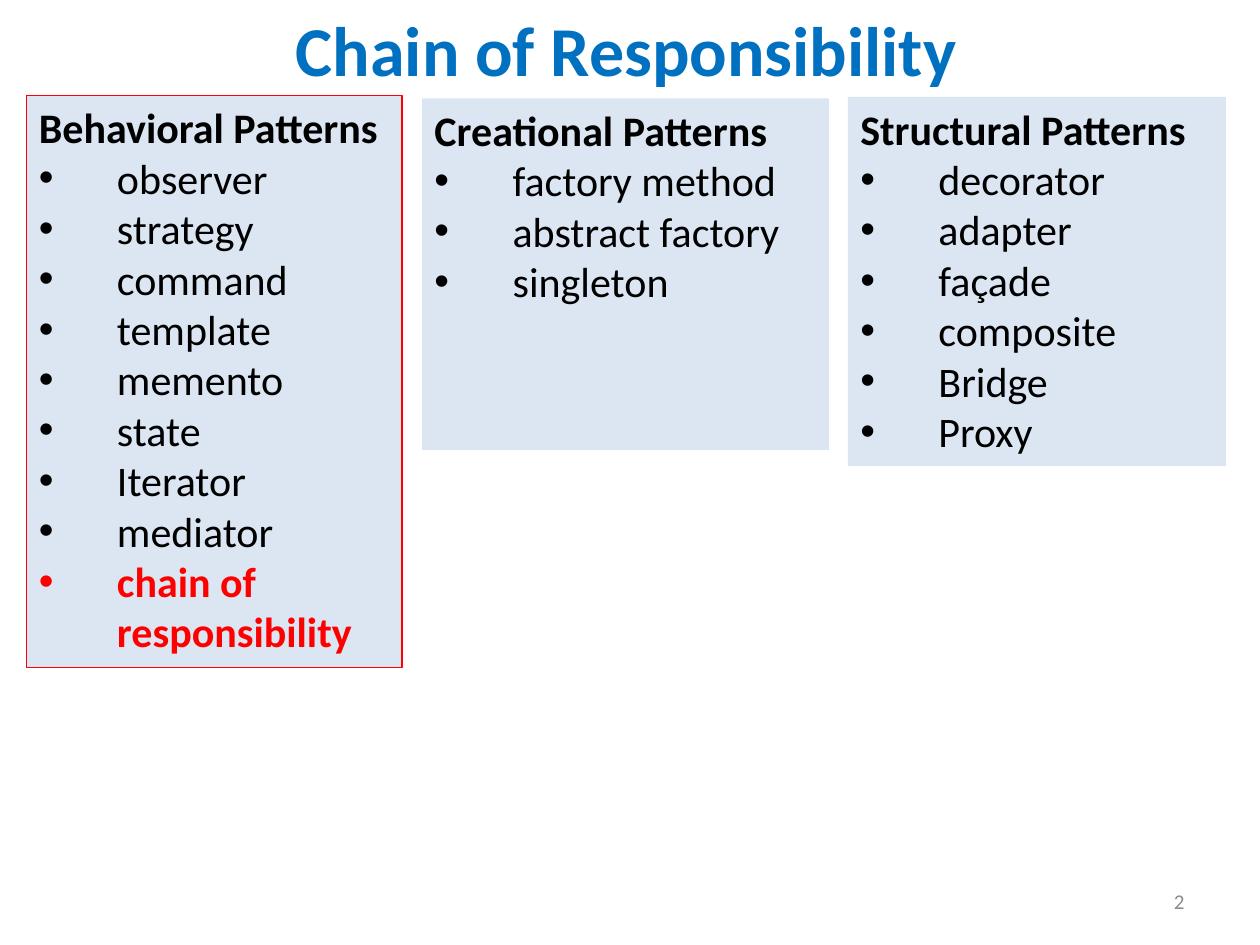
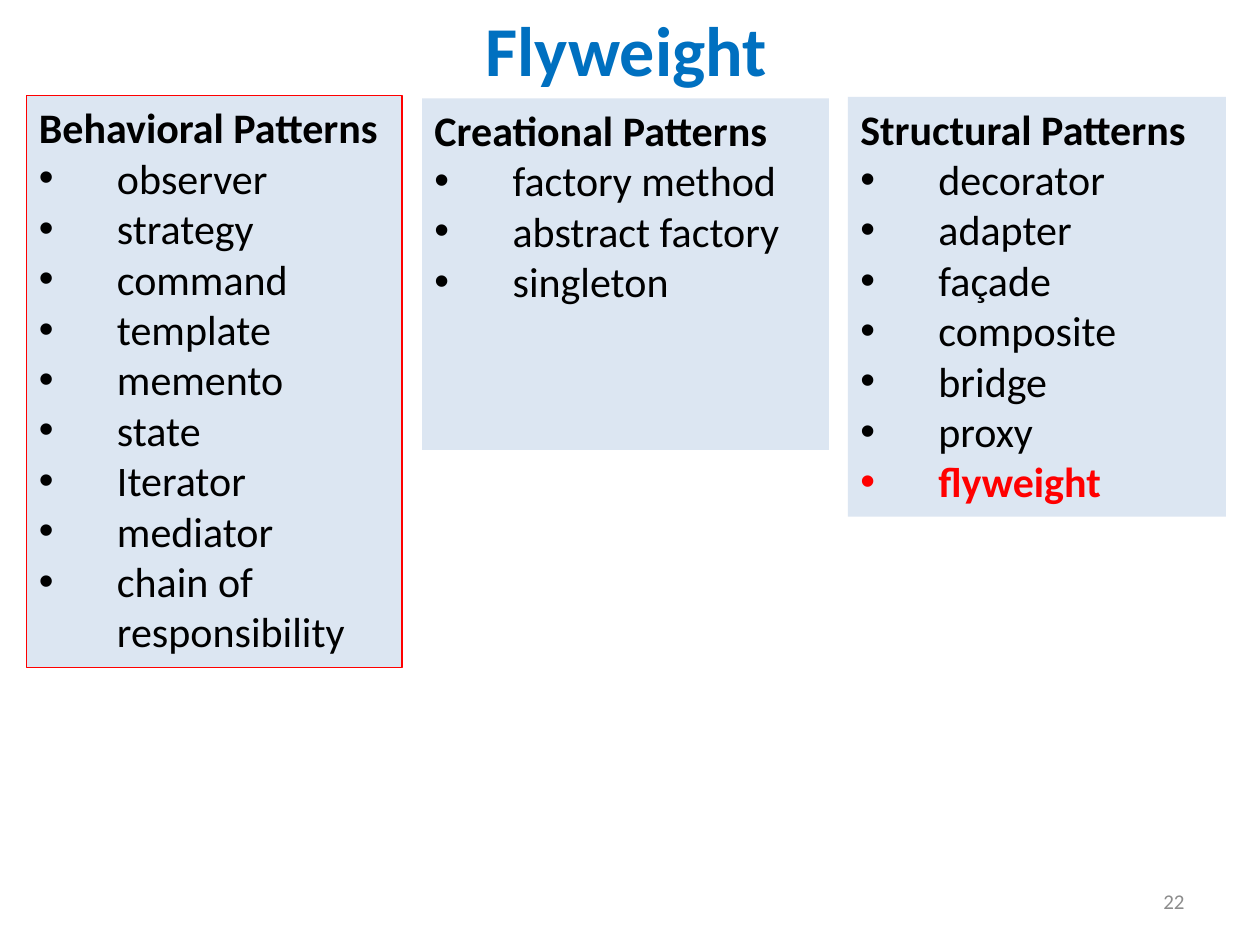
from lxml import etree
from pptx import Presentation
from pptx import util as u
from pptx.dml.color import RGBColor
from pptx.enum import shapes, text
from pptx.oxml.ns import qn

FONT = "Calibri"
TITLE_BLUE, PANEL_BLUE = "0070C0", "DCE6F2"
BLACK, RED, GREY = "000000", "FF0000", "8C8C8C"
INDENT = 0.62

BEHAVIORAL = ["observer", "strategy", "command", "template", "memento",
              "state", "Iterator", "mediator", "chain of responsibility"]
CREATIONAL = ["factory method", "abstract factory", "singleton"]
STRUCTURAL = ["decorator", "adapter", "façade", "composite"]

LESSONS = [
    {"title": "Chain of Responsibility", "title_height": 1.45, "number": 2,
     "structural": STRUCTURAL + ["Bridge", "Proxy"],
     "current": "chain of responsibility"},
    {"title": "Flyweight", "title_height": 0.77, "number": 22,
     "structural": STRUCTURAL + ["bridge", "proxy", "flyweight"],
     "current": "flyweight"},
]


def color(value):
    return RGBColor.from_string(value)


def inches(box):
    return [u.Inches(length) for length in box]


def style(paragraph, size, ink, bold=False):
    font = paragraph.font
    font.name, font.size, font.bold = FONT, u.Pt(size), bold
    font.color.rgb = color(ink)


def add_label(slide, box, words, size, ink, align, anchor, bold=False):
    frame = slide.shapes.add_textbox(*inches(box)).text_frame
    frame.word_wrap = True
    frame.vertical_anchor = anchor
    label = frame.paragraphs[0]
    label.text, label.alignment = words, align
    style(label, size, ink, bold)


def add_bullet(paragraph):
    properties = paragraph._p.get_or_add_pPr()
    properties.set("marL", str(u.Inches(INDENT)))
    properties.set("indent", str(-u.Inches(INDENT)))
    etree.SubElement(properties, qn("a:buFont"), typeface="Arial")
    etree.SubElement(properties, qn("a:buChar"), char="•")


def add_panel(slide, box, heading, patterns, current, outline=None):
    panel = slide.shapes.add_shape(shapes.MSO_SHAPE.RECTANGLE, *inches(box))
    panel.shadow.inherit = False
    panel.fill.solid()
    panel.fill.fore_color.rgb = color(PANEL_BLUE)
    if outline:
        panel.line.color.rgb = color(outline)
        panel.line.width = u.Pt(0.75)
    else:
        panel.line.fill.background()

    frame = panel.text_frame
    frame.word_wrap = True
    frame.vertical_anchor = text.MSO_ANCHOR.TOP
    title = frame.paragraphs[0]
    title.text, title.alignment = heading, text.PP_ALIGN.LEFT
    style(title, 24, BLACK, bold=True)
    for pattern in patterns:
        item = frame.add_paragraph()
        item.text, item.alignment = pattern, text.PP_ALIGN.LEFT
        is_current = pattern == current
        style(item, 24, RED if is_current else BLACK, is_current)
        add_bullet(item)


def add_lesson(deck, lesson):
    slide = deck.slides.add_slide(deck.slide_layouts[6])
    add_label(slide, (7.17, 6.95, 2.33, 0.4), str(lesson["number"]), 12, GREY,
              text.PP_ALIGN.RIGHT, text.MSO_ANCHOR.MIDDLE)
    add_label(slide, (0.21, 0, 9.52, lesson["title_height"]), lesson["title"],
              40, TITLE_BLUE, text.PP_ALIGN.CENTER, text.MSO_ANCHOR.TOP, True)

    structural, current = lesson["structural"], lesson["current"]
    structural_height = 0.13 + 0.4 * (len(structural) + 1)
    add_panel(slide, (0.21, 0.76, 2.98, 4.54), "Behavioral Patterns",
              BEHAVIORAL, current, RED)
    add_panel(slide, (3.35, 0.78, 3.23, 2.79), "Creational Patterns",
              CREATIONAL, current)
    add_panel(slide, (6.73, 0.77, 3, structural_height), "Structural Patterns",
              structural, current)


def main():
    deck = Presentation()
    deck.slide_width, deck.slide_height = inches((10, 7.5))
    for lesson in LESSONS:
        add_lesson(deck, lesson)
    deck.save("out.pptx")


if __name__ == "__main__":
    main()
